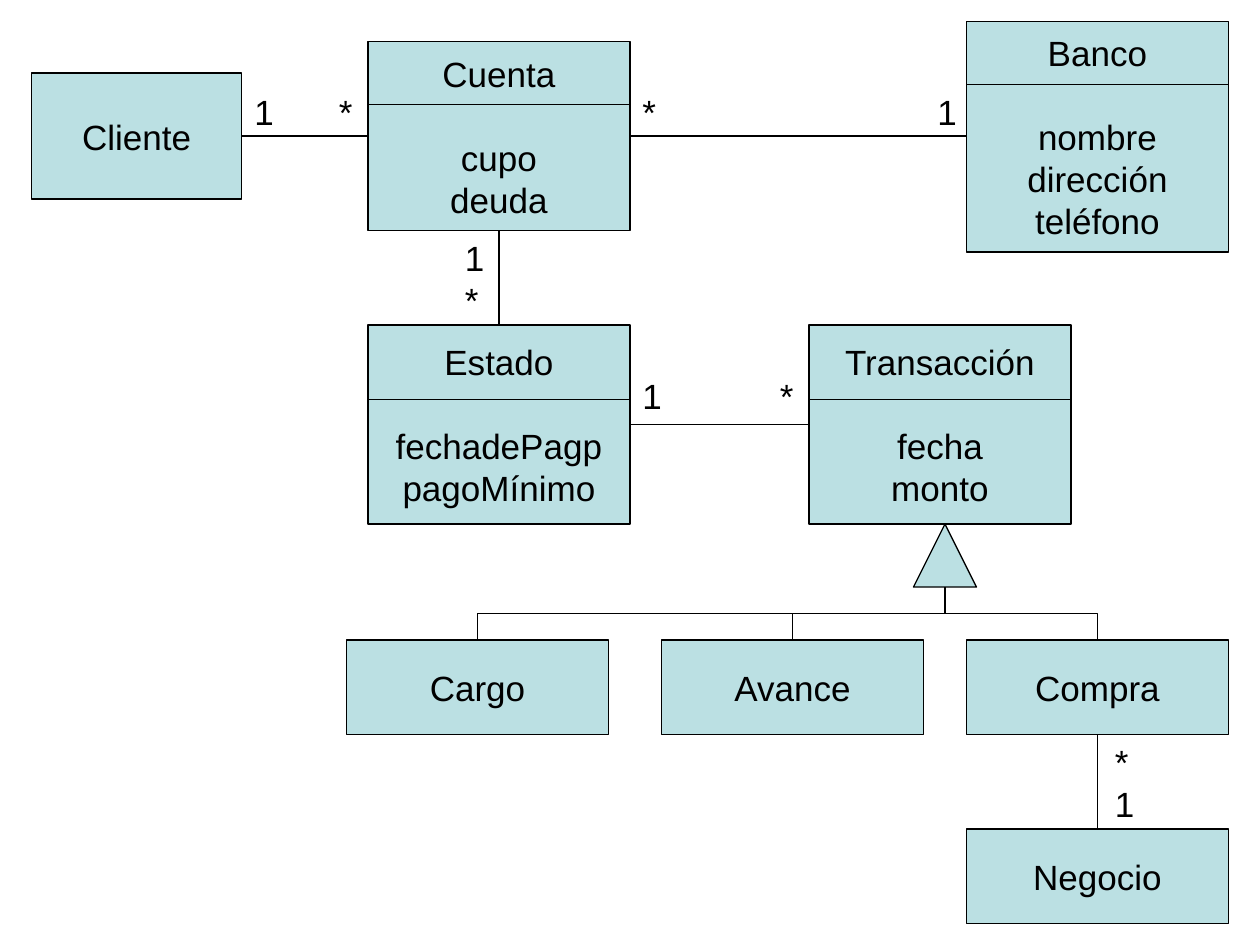
from collections import namedtuple
from lxml.etree import SubElement
from pptx import Presentation
from pptx.dml.color import RGBColor
from pptx.enum.shapes import MSO_CONNECTOR as Link, MSO_SHAPE as Shape
from pptx.enum.text import MSO_ANCHOR as Anchor, MSO_AUTO_SIZE as Fit, PP_ALIGN as Align
from pptx.oxml.ns import qn
from pptx.util import Inches, Pt

BLACK = RGBColor(0x00, 0x00, 0x00)
TEAL = RGBColor(0xBB, 0xE0, 0xE3)
WIDE = 2.08
LOW = 0.75

Box = namedtuple("Box", "x y w h")


def mid(box):
    return box.x + box.w / 2


def ink(shape):
    shape.line.color.rgb = BLACK
    shape.line.width = Pt(0.75)


def write(frame, lines, align):
    frame.word_wrap = False
    frame.text = "\n".join(lines)
    for para in frame.paragraphs:
        para.alignment = align
        for run in para.runs:
            run.font.name = "Arial"
            run.font.size = Pt(20)
            run.font.color.rgb = BLACK


def solid(slide, kind, box):
    shape = slide.shapes.add_shape(kind, *map(Inches, box))
    shape.shadow.inherit = False
    shape.fill.solid()
    shape.fill.fore_color.rgb = TEAL
    ink(shape)
    return shape


def link(slide, x1, y1, x2, y2, kind=Link.STRAIGHT):
    line = slide.shapes.add_connector(kind, *map(Inches, (x1, y1, x2, y2)))
    ink(line)
    SubElement(line._element.spPr, qn("a:effectLst"))
    return line


def entity(slide, box, name, items=(), head=0):
    frame = solid(slide, Shape.RECTANGLE, box).text_frame
    frame.vertical_anchor = Anchor.MIDDLE
    write(frame, [name, *items], Align.CENTER)
    if items:
        frame.paragraphs[1].space_before = Pt(24)
        y = box.y + head
        link(slide, box.x, y, box.x + box.w, y)


def label(slide, x, y, marks):
    wide = 0.35 if "1" in marks else 0.31
    high = 0.44 if len(marks) == 1 else 0.77
    area = slide.shapes.add_textbox(*map(Inches, (x, y, wide, high)))
    area.text_frame.auto_size = Fit.SHAPE_TO_FIT_TEXT
    write(area.text_frame, marks, Align.LEFT)


def across(slide, left, right, y, top, marks):
    start = left.x + left.w
    link(slide, start, y, right.x, y)
    label(slide, start, top, marks[0])
    label(slide, right.x - 0.33, top, marks[1])


def down(slide, upper, lower, shift, marks):
    x, y = mid(upper), upper.y + upper.h
    link(slide, x, y, x, lower.y)
    label(slide, x + shift, y, marks)


def branch(slide, x, y, child):
    end = mid(child)
    cx, cy = (x + end) / 2, (y + child.y) / 2
    half, reach = (child.y - y) / 2, abs(end - x) / 2
    if end > x:
        half = -half
    line = link(slide, cx - half, cy - reach, cx + half, cy + reach, Link.ELBOW)
    turn = 270 if end > x else 90
    line._element.spPr.find(qn("a:xfrm")).set("rot", str(turn * 60000))


def inherit(slide, parent, kids):
    x, y, size = 7.5, parent.y + parent.h, 0.5
    solid(slide, Shape.ISOSCELES_TRIANGLE, Box(x - size / 2, y, size, size))
    for kid in kids:
        branch(slide, x, y + size, kid)


def main():
    deck = Presentation()
    deck.slide_width, deck.slide_height = Inches(10), Inches(7.5)
    slide = deck.slides.add_slide(deck.slide_layouts[6])

    client = Box(0.25, 0.58, 1.67, 1)
    account = Box(2.92, 0.33, WIDE, 1.5)
    bank = Box(7.67, 0.17, WIDE, 1.83)
    state = Box(2.92, 2.58, WIDE, 1.58)
    trade = Box(6.42, 2.58, WIDE, 1.58)
    charge, advance, buy = [Box(x, 5.08, WIDE, LOW) for x in (2.75, 5.25, 7.67)]
    shop = Box(7.67, 6.58, WIDE, LOW)

    entity(slide, account, "Cuenta", ["cupo", "deuda"], 0.5)
    entity(slide, bank, "Banco", ["nombre", "dirección", "teléfono"], 0.5)
    entity(slide, state, "Estado", ["fechadePagp", "pagoMínimo"], 0.59)
    entity(slide, trade, "Transacción", ["fecha", "monto"], 0.59)
    plain = {"Cliente": client, "Cargo": charge, "Avance": advance,
             "Compra": buy, "Negocio": shop}
    for name, box in plain.items():
        entity(slide, box, name)

    across(slide, client, account, 1.08, 0.67, "1*")
    across(slide, account, bank, 1.08, 0.67, "*1")
    across(slide, state, trade, 3.37, 2.92, "1*")
    down(slide, account, state, -0.37, "1*")
    down(slide, buy, shop, 0.04, "*1")
    inherit(slide, trade, (advance, charge, buy))

    deck.save("out.pptx")


if __name__ == "__main__":
    main()
